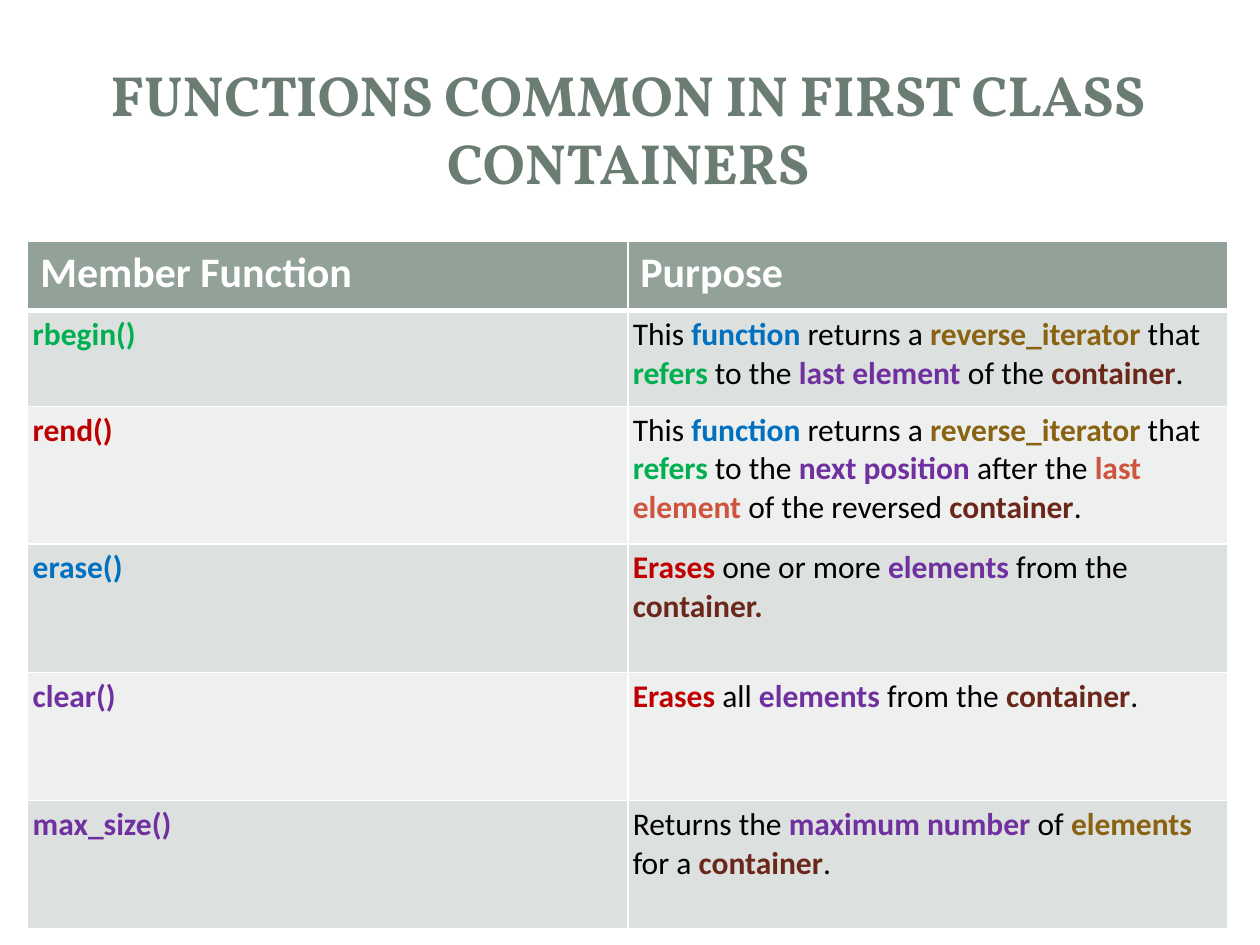
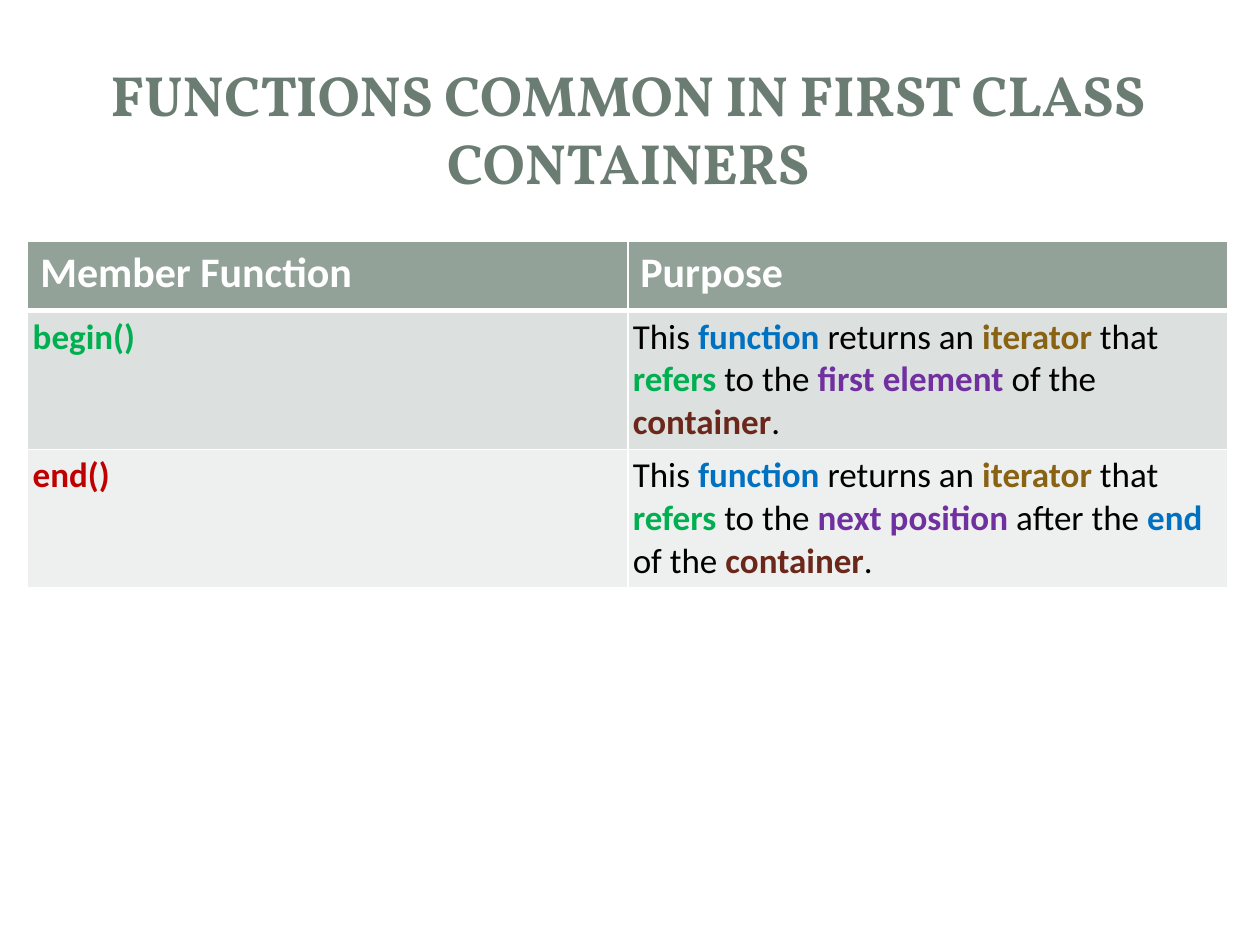
from lxml import etree
from pptx import Presentation
from pptx import util as u
from pptx.dml.color import RGBColor
from pptx.enum import shapes, text
from pptx.oxml import ns

WIDTH, HEIGHT = u.Inches(10), u.Inches(7.5)
TITLE = "FUNCTIONS COMMON IN FIRST CLASS CONTAINERS"
HEADINGS = ("Member Function", "Purpose")
TITLE_FONT, TABLE_FONT = "Vollkorn", "Calibri"
COLOURS = {
    "title": "6B7D72", "header": "93A299", "odd": "DCDEDD", "even": "EEF0EF",
    "white": "FFFFFF", "black": "000000", "green": "00B050", "red": "C00000",
    "blue": "0070C0", "purple": "7030A0", "gold": "896212", "brown": "6C271B",
    "coral": "CF543F",
}
COLOURS["odd"] = "DCE0DE"
# Boxes in percent of the slide: left, top, width, height
PAGE_BOX = (1, 1.47, 98, 97.2)
BAND_BOX = (3, 4, 94, 19.33)
BAND_INNER_BOX = (4.1, 5.47, 91.7, 16.27)
TITLE_BOX = (4.7, 5.93, 90.3, 15.2)
TABLE_BOX = (2.2, 25.55, 95.25)
HEADER_ROW = 0.55
CELL_MARGIN = u.Inches(0.04)

# Phrases used in several rows; a plain string is regular black text
FUNCTION = ("function", "blue")
REFERS = ("refers", "green")
CONTAINER = ("container", "brown")
ELEMENTS = ("elements", "purple")
ERASES = ("Erases ", "red")
REVERSE_ITERATOR = ("reverse_iterator", "gold")
ITERATOR = ("iterator", "gold")
NEXT_POSITION = ("next position", "purple")

# Each member: (name, colour), purpose, row height in inches
REVERSE_AND_ERASE = [
    (("rbegin()", "green"),
     ["This ", FUNCTION, " returns a ", REVERSE_ITERATOR, " that ", REFERS, " to the ",
      ("last element", "purple"), " of the ", CONTAINER, "."], 0.76),
    (("rend()", "red"),
     ["This ", FUNCTION, " returns a ", REVERSE_ITERATOR, " that ", REFERS, " to the ",
      NEXT_POSITION, " after the ", ("last element ", "coral"), "of the reversed ",
      CONTAINER, "."], 1.09),
    (("erase()", "blue"),
     [ERASES, "one or more ", ELEMENTS, " from the ", ("container.", "brown")], 1.02),
    (("clear()", "purple"),
     [ERASES, "all ", ELEMENTS, " from the ", CONTAINER, "."], 1.02),
    (("max_size()", "purple"),
     ["Returns the ", ("maximum number ", "purple"), "of ", ("elements", "gold"),
      " for a ", CONTAINER, "."], 1.02),
]
BEGIN_AND_END = [
    (("begin()", "green"),
     ["This ", FUNCTION, " returns an ", ITERATOR, " that ", REFERS, " to the ",
      ("first element ", "purple"), "of the ", CONTAINER, "."], 1.1),
    (("end()", "red"),
     ["This ", FUNCTION, " returns an ", ITERATOR, " that ", REFERS, " to the ",
      NEXT_POSITION, " after the ", ("end", "blue"), " of the ", CONTAINER, "."], 1.1),
]


def rgb(colour):
    return RGBColor.from_string(COLOURS[colour])


def on_slide(box):
    """Turn percentages of the slide into lengths."""
    return [int(share * side / 100) for share, side in zip(box, (WIDTH, HEIGHT) * 2)]


def add_panel(slide, box, outline=shapes.MSO_SHAPE.RECTANGLE):
    panel = slide.shapes.add_shape(outline, *on_slide(box))
    panel.shadow.inherit = False
    panel.fill.solid()
    panel.fill.fore_color.rgb = rgb("white")
    panel.line.fill.background()
    return panel


def add_backdrop(slide):
    """Lay the rounded page and the title band under the content."""
    page = add_panel(slide, PAGE_BOX, shapes.MSO_SHAPE.ROUNDED_RECTANGLE)
    page.adjustments[0] = 0.02
    band = add_panel(slide, BAND_BOX)
    tint = band.fill._xPr.find(f".//{ns.qn('a:srgbClr')}")
    etree.SubElement(tint, ns.qn("a:alpha"), val="83000")
    add_panel(slide, BAND_INNER_BOX)


def add_run(paragraph, words, font, size, colour, bold=True):
    run = paragraph.add_run()
    run.text = words
    run.font.name, run.font.size, run.font.bold = font, u.Pt(size), bold
    run.font.color.rgb = rgb(colour)


def add_title(slide, box):
    frame = slide.shapes.add_textbox(*on_slide(box)).text_frame
    frame.word_wrap = True
    frame.vertical_anchor = text.MSO_ANCHOR.MIDDLE
    heading = frame.paragraphs[0]
    heading.alignment = text.PP_ALIGN.CENTER
    add_run(heading, TITLE, TITLE_FONT, 32.4, "title")


def add_borders(cell, top, bottom):
    """Draw white cell borders; top and bottom widths are in points."""
    properties = cell._tc.get_or_add_tcPr()
    for side, width in (("L", 1), ("R", 1), ("T", top), ("B", bottom)):
        line = etree.SubElement(properties, ns.qn(f"a:ln{side}"), w=str(u.Pt(width)))
        fill = etree.SubElement(line, ns.qn("a:solidFill"))
        etree.SubElement(fill, ns.qn("a:srgbClr"), val=COLOURS["white"])


def fill_cell(cell, phrases, size, background, top=1, bottom=1):
    add_borders(cell, top, bottom)
    cell.fill.solid()
    cell.fill.fore_color.rgb = rgb(background)
    paragraph = cell.text_frame.paragraphs[0]
    for phrase in phrases:
        plain = isinstance(phrase, str)
        words, colour = (phrase, "black") if plain else phrase
        add_run(paragraph, words, TABLE_FONT, size, colour, bold=not plain)


def add_member_table(slide, box, members, size):
    heights = [u.Inches(h) for h in (HEADER_ROW, *(member[2] for member in members))]
    left, top, width = on_slide(box)
    table = slide.shapes.add_table(len(heights), len(HEADINGS), left, top, width,
                                   sum(heights)).table
    for row, height in zip(table.rows, heights):
        row.height = height
    for column, heading in enumerate(HEADINGS):
        fill_cell(table.cell(0, column), [(heading, "white")], 24, "header", bottom=3)
    for row, (name, purpose, _) in enumerate(members, 1):
        for column, phrases in enumerate(([name], purpose)):
            cell = table.cell(row, column)
            cell.margin_left = cell.margin_right = CELL_MARGIN
            cell.margin_top = cell.margin_bottom = CELL_MARGIN
            fill_cell(cell, phrases, size, "odd" if row % 2 else "even",
                      top=3 if row == 1 else 1)


def add_functions_slide(deck, members, size):
    slide = deck.slides.add_slide(deck.slide_layouts[6])
    add_backdrop(slide)
    add_title(slide, TITLE_BOX)
    add_member_table(slide, TABLE_BOX, members, size)


def main():
    deck = Presentation()
    deck.slide_width, deck.slide_height = WIDTH, HEIGHT
    add_functions_slide(deck, REVERSE_AND_ERASE, 18)
    add_functions_slide(deck, BEGIN_AND_END, 20)
    deck.save("out.pptx")


if __name__ == "__main__":
    main()
